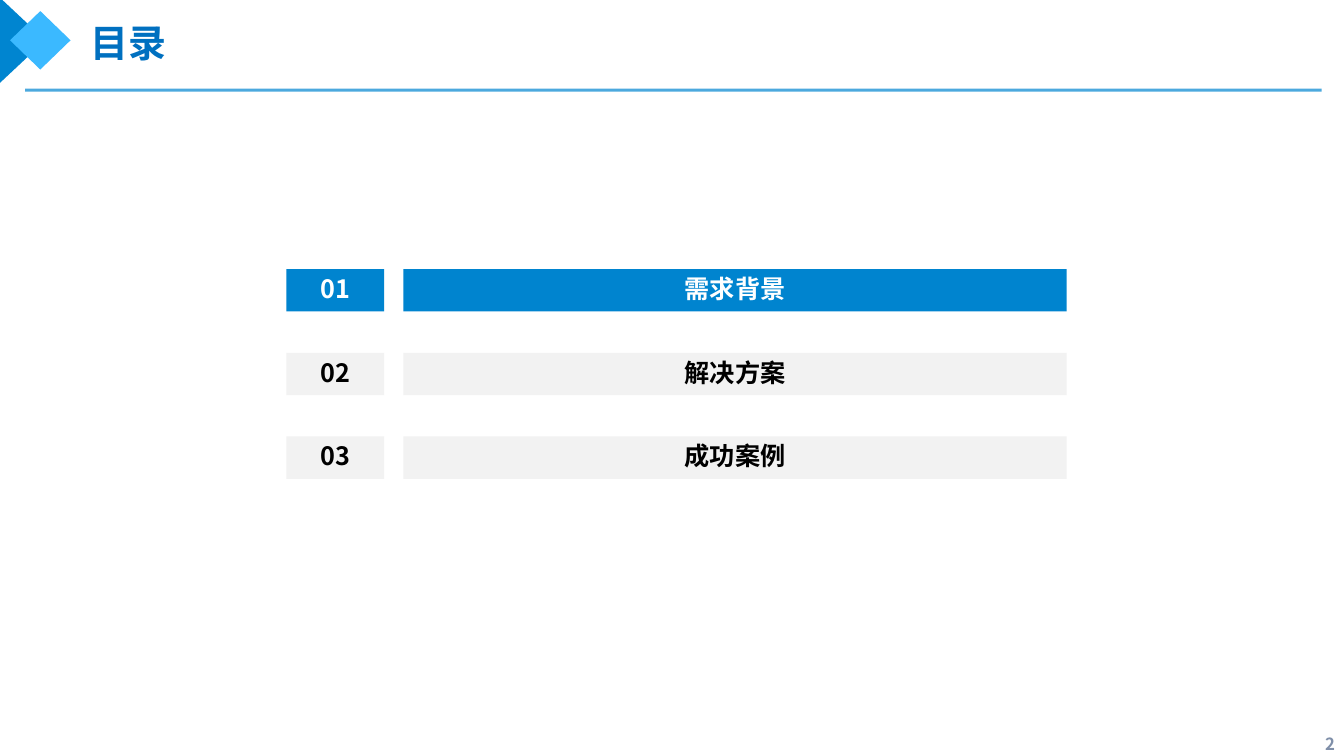
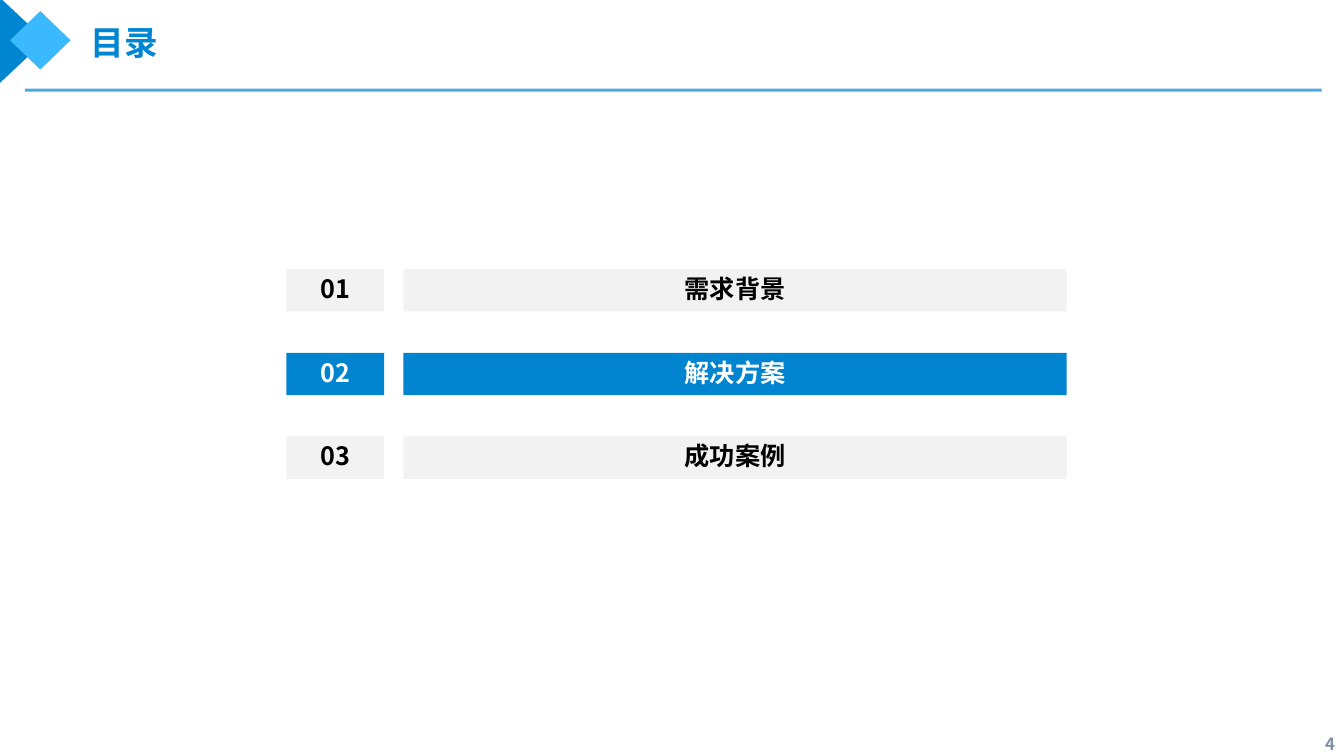
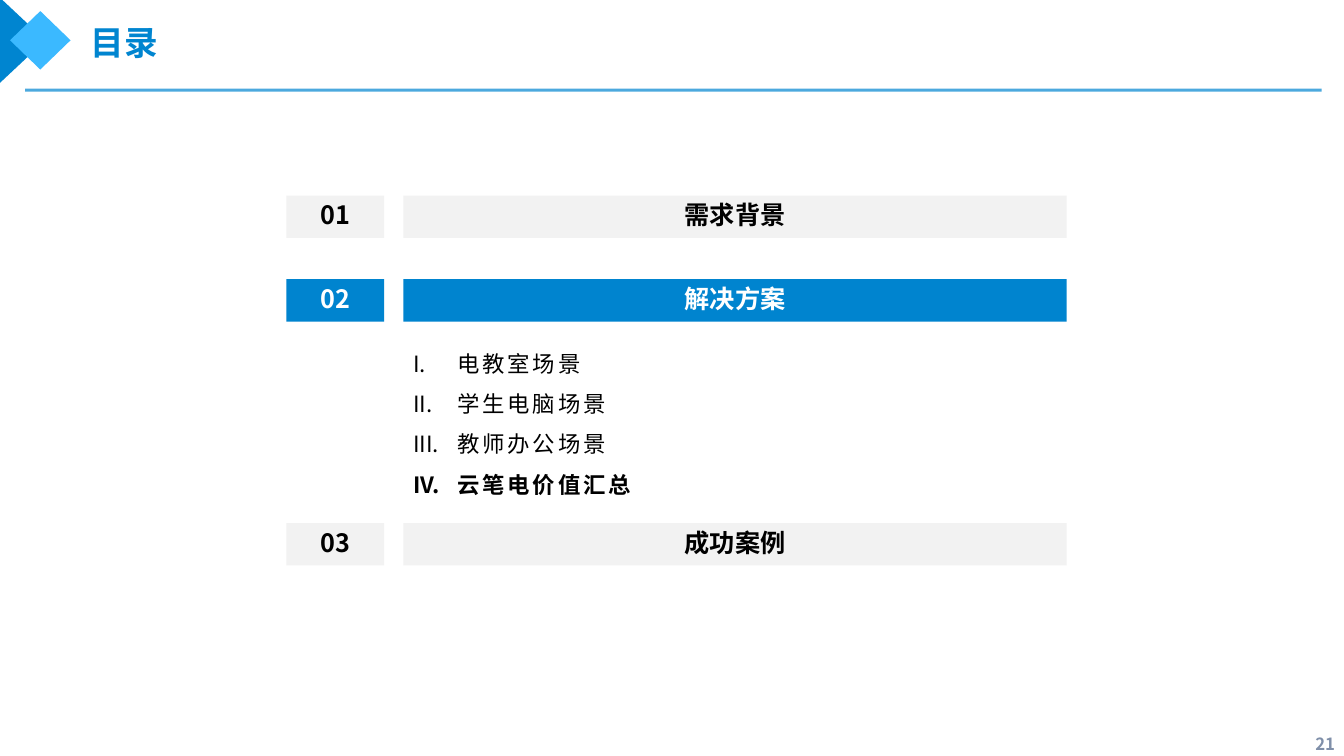
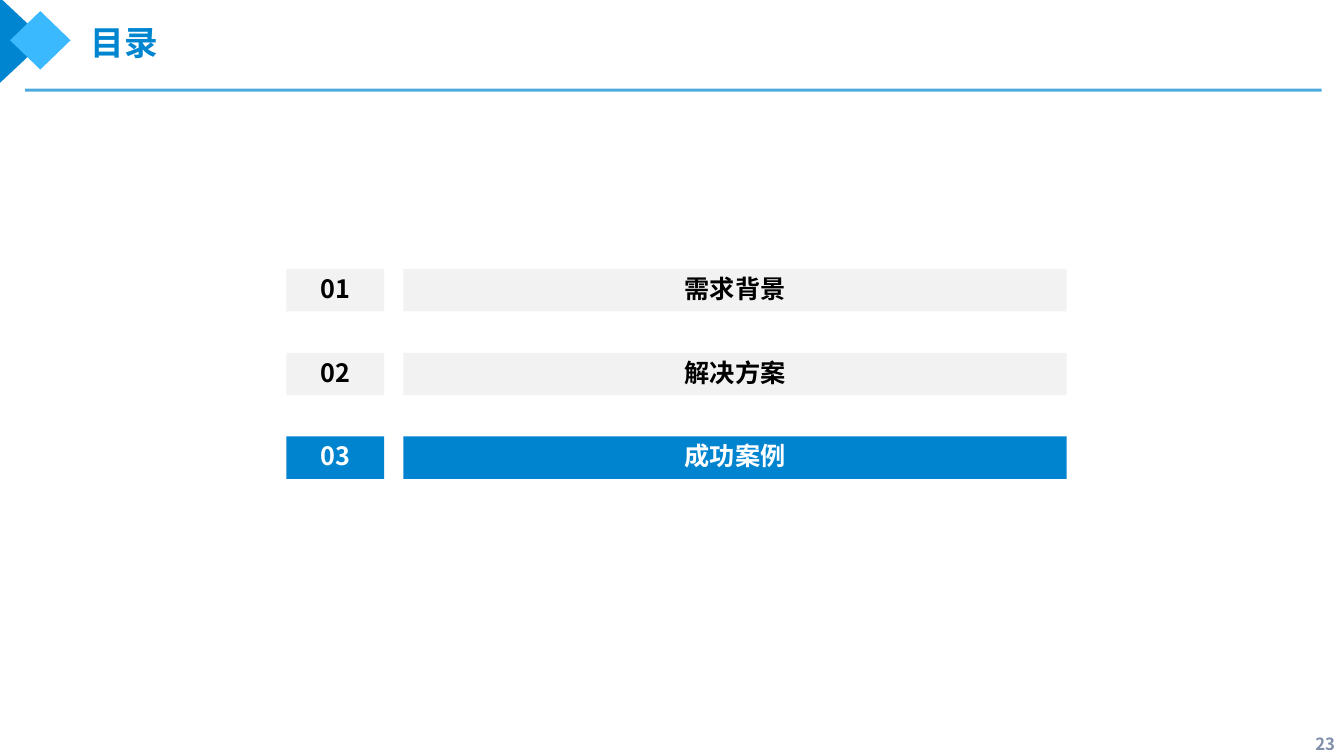
import pptx
import pptx.util
import pptx.dml.color
import pptx.enum.shapes
import pptx.enum.text
import pptx.oxml.ns
from lxml import etree

Inches = pptx.util.Inches
Pt = pptx.util.Pt
RGBColor = pptx.dml.color.RGBColor
Shape = pptx.enum.shapes.MSO_SHAPE
Align = pptx.enum.text.PP_ALIGN
Anchor = pptx.enum.text.MSO_ANCHOR
Fit = pptx.enum.text.MSO_AUTO_SIZE
qn = pptx.oxml.ns.qn

FONT = "Noto Sans CJK SC"
WHITE = RGBColor(0xFF, 0xFF, 0xFF)
BLACK = RGBColor(0x00, 0x00, 0x00)
BLUE = RGBColor(0x00, 0x85, 0xD0)
DEEP = RGBColor(0x00, 0x70, 0xC0)
SKY = RGBColor(0x3B, 0xB9, 0xFF)
ACTIVE = RGBColor(0x00, 0x84, 0xCF)
PALE = RGBColor(0xF2, 0xF2, 0xF2)
SLATE = RGBColor(0x7F, 0x8F, 0xA9)

TOPICS = ["需求背景", "解决方案", "成功案例"]
SCENES = ["电教室场景", "学生电脑场景", "教师办公场景", "云笔电价值汇总"]
PITCH = 0.83


def add_run(para, text, size, color, bold=True, gap=0):
    """Add a run; gap is the letter spacing in points."""
    run = para.add_run()
    run.text = text
    font = run.font
    font.name, font.size, font.bold = FONT, Pt(size), bold
    font.color.rgb = color
    props = run._r.get_or_add_rPr()
    etree.SubElement(props, qn("a:ea")).set("typeface", FONT)
    if gap:
        props.set("spc", str(gap * 100))


def add_block(slide, kind, box, color):
    shape = slide.shapes.add_shape(kind, *map(Inches, box))
    shape.shadow.inherit = False
    shape.fill.solid()
    shape.fill.fore_color.rgb = color
    shape.line.fill.background()
    return shape


def add_box(slide, box):
    frame = slide.shapes.add_textbox(*map(Inches, box)).text_frame
    frame.word_wrap = True
    return frame


def set_alpha(shape, percent):
    color = shape.fill._xPr.find(qn("a:solidFill"))[0]
    etree.SubElement(color, qn("a:alpha")).set("val", str(percent * 1000))


def add_title(slide, text, size, color):
    title = slide.shapes.title
    title.left, title.top = Inches(0.8), Inches(0.14)
    title.width, title.height = Inches(5.13), Inches(0.56)
    frame = title.text_frame
    frame.auto_size = Fit.NONE
    frame.vertical_anchor = Anchor.MIDDLE
    para = frame.paragraphs[0]
    para.alignment = Align.LEFT
    add_run(para, text, size, color)


def add_frame(slide, page):
    """Draw the header rule, the corner marks and the page number."""
    rule = add_block(slide, Shape.RECTANGLE, (0.25, 0.88, 12.86, 0.03), BLUE)
    set_alpha(rule, 70)
    wedge = add_block(slide, Shape.ISOSCELES_TRIANGLE,
                      (-0.24, 0.16, 0.9, 0.48), BLUE)
    wedge.rotation = 90
    add_block(slide, Shape.DIAMOND, (0.1, 0.11, 0.6, 0.58), SKY)
    para = add_box(slide, (12.76, 7.23, 0.58, 0.3)).paragraphs[0]
    para.alignment = Align.RIGHT
    add_run(para, str(page), 12, SLATE)


def add_bar(slide, text, box, active):
    bar = add_block(slide, Shape.RECTANGLE, box, ACTIVE if active else PALE)
    frame = bar.text_frame
    frame.vertical_anchor = Anchor.MIDDLE
    para = frame.paragraphs[0]
    para.alignment = Align.CENTER
    para.line_spacing = 0.9
    add_run(para, text, 18, WHITE if active else BLACK)


def add_topics(slide, active, top, last_gap=0):
    """Stack the topic rows, with last_gap more space above the last one."""
    for row, topic in enumerate(TOPICS):
        y = top + row * PITCH
        if row == len(TOPICS) - 1:
            y += last_gap
        on = row == active
        add_bar(slide, topic, (4, y, 6.58, 0.42), on)
        add_bar(slide, f"{row + 1:02d}", (2.84, y, 0.97, 0.42), on)


def add_scenes(slide):
    frame = add_box(slide, (4, 3.29, 6.67, 1.72))
    for i, scene in enumerate(SCENES):
        para = frame.paragraphs[0] if i == 0 else frame.add_paragraph()
        para.line_spacing = 1.5
        props = para._p.get_or_add_pPr()
        props.set("marL", str(Inches(0.44)))
        props.set("indent", str(Inches(-0.44)))
        etree.SubElement(props, qn("a:buAutoNum")).set("type", "romanUcPeriod")
        add_run(para, scene, 16, BLACK, scene == SCENES[-1], 2)


def add_agenda(prs, page, active, size=24, color=BLUE, top=2.67, last_gap=0):
    slide = prs.slides.add_slide(prs.slide_layouts[5])
    add_frame(slide, page)
    add_title(slide, "目录", size, color)
    add_topics(slide, active, top, last_gap)
    return slide


def main():
    prs = pptx.Presentation()
    prs.slide_width, prs.slide_height = Inches(13.33), Inches(7.5)
    back = prs.slide_master.background.fill
    back.solid()
    back.fore_color.rgb = WHITE
    add_agenda(prs, 2, 0, size=27.1, color=DEEP)
    add_agenda(prs, 4, 1)
    add_scenes(add_agenda(prs, 21, 1, top=1.94, last_gap=1.59))
    add_agenda(prs, 23, 2)
    prs.save("out.pptx")


if __name__ == "__main__":
    main()
